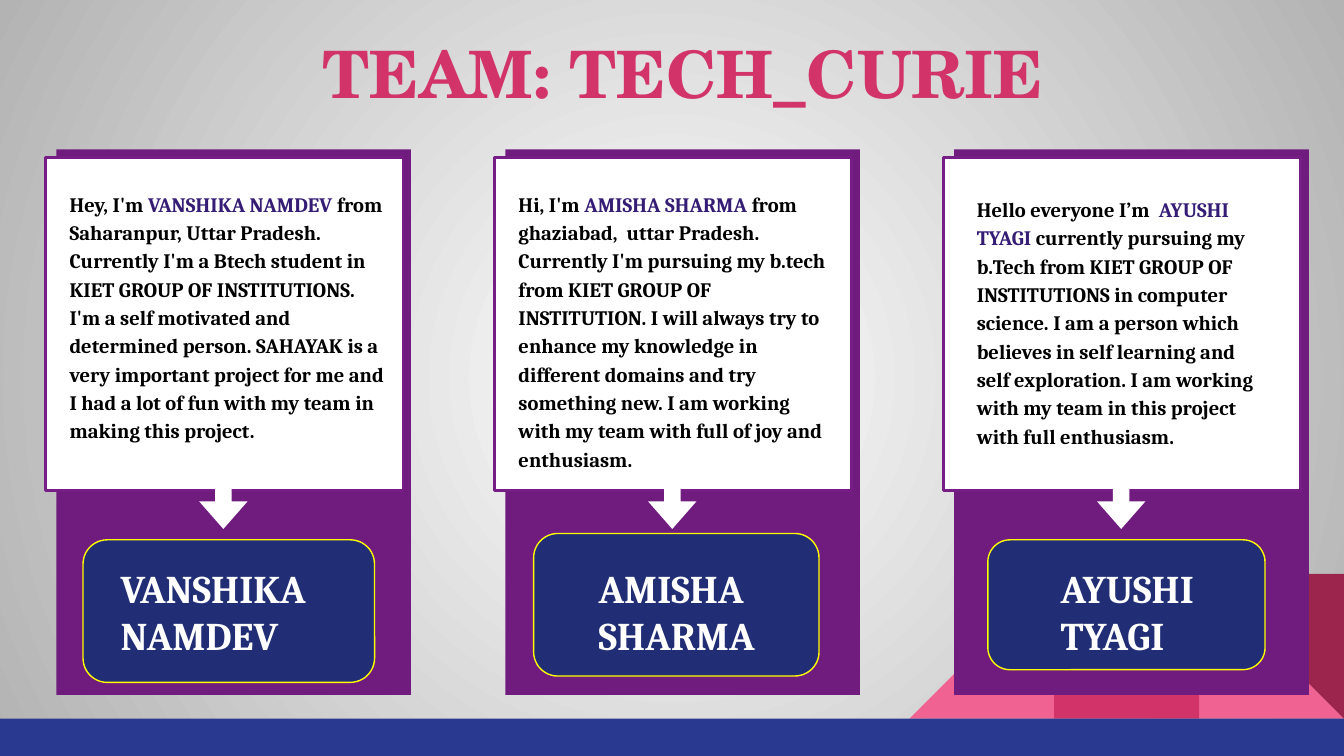
from dataclasses import dataclass

from lxml.etree import SubElement
from pptx import Presentation
from pptx.dml.color import RGBColor
from pptx.enum.shapes import MSO_SHAPE as Preset
from pptx.enum.text import MSO_ANCHOR as Anchor, MSO_AUTO_SIZE as AutoSize, PP_ALIGN as Align
from pptx.oxml.ns import qn
from pptx.util import Pt


@dataclass(frozen=True)
class Theme:
    white: str = "FFFFFF"
    grey: str = "B3B3B3"
    black: str = "000000"
    pink: str = "F06292"
    rose: str = "D23369"
    wine: str = "9C254D"
    blue: str = "2A3990"
    navy: str = "212D74"
    purple: str = "701C7F"
    border: str = "761E86"
    violet: str = "351C75"
    yellow: str = "FFFF00"
    title_font: str = "TeX Gyre Schola"
    body_font: str = "Cambria"
    title_size: float = 35
    name_size: float = 21
    bio_size: float = 11


class Builder:
    def __init__(self, page, theme):
        self.page = page
        self.theme = theme

    def apply(self, target, values):
        for name, value in values.items():
            setattr(target, name, value)

    def background(self, inner, outer):
        fill = self.page.background.fill
        fill.gradient()
        for stop, color in zip(fill.gradient_stops, (inner, outer)):
            stop.color.rgb = RGBColor.from_string(color)
        gradient = self.page.element.find(".//" + qn("a:gradFill"))
        gradient.remove(gradient.find(qn("a:lin")))
        radial = SubElement(gradient, qn("a:path"), {"path": "circle"})
        SubElement(radial, qn("a:fillToRect"), {side: "50000" for side in "ltrb"})

    def shape(self, preset, place, fill, line=None, width=1, rotation=0, adjust=()):
        shape = self.page.shapes.add_shape(preset, *map(Pt, place))
        shape.shadow.inherit = False
        shape.rotation = rotation
        shape.fill.solid()
        shape.fill.fore_color.rgb = RGBColor.from_string(fill)
        if line:
            shape.line.color.rgb = RGBColor.from_string(line)
            shape.line.width = Pt(width)
        else:
            shape.line.fill.background()
        for index, value in enumerate(adjust):
            shape.adjustments[index] = value

    def fill_text(self, box, paragraphs, size, font, spacing=1.0, indent=0):
        frame = box.text_frame
        self.apply(frame, {
            "word_wrap": True, "auto_size": AutoSize.NONE, "vertical_anchor": Anchor.TOP,
            "margin_left": Pt(7.2 + indent), "margin_right": Pt(7.2),
            "margin_top": Pt(7.2), "margin_bottom": Pt(7.2),
        })
        for index, spans in enumerate(paragraphs):
            para = frame.add_paragraph() if index else frame.paragraphs[0]
            self.apply(para, {"alignment": Align.LEFT, "line_spacing": spacing})
            for text, color in spans:
                span = para.add_run()
                span.text = text
                self.apply(span.font, {"size": Pt(size), "name": font, "bold": True})
                span.font.color.rgb = RGBColor.from_string(color)

    def title(self, text, place, indent):
        box = self.page.shapes.title
        self.apply(box, dict(zip(("left", "top", "width", "height"), map(Pt, place))))
        self.fill_text(box, [[(text, self.theme.rose)]], self.theme.title_size,
                       self.theme.title_font, indent=indent)

    def text(self, paragraphs, place, size, spacing=1.0, indent=0):
        box = self.page.shapes.add_textbox(*map(Pt, place))
        self.fill_text(box, paragraphs, size, self.theme.body_font, spacing, indent)

    def footer(self):
        theme, side, top = self.theme, 77.6, 307.4
        left, middle, right = (720 - side * count for count in (3, 2, 1))
        triangle = Preset.RIGHT_TRIANGLE
        for preset, x, color, rotation in (
            (triangle, right, theme.pink, 0),
            (triangle, left, theme.pink, 270),
            (Preset.RECTANGLE, middle, theme.rose, 0),
            (triangle, right, theme.wine, 180),
        ):
            self.shape(preset, (x, top, side, side), color, rotation=rotation)
        self.shape(Preset.RECTANGLE, (0, 385, 720, 20), theme.blue)

    def card(self, x, bio, bio_place):
        theme = self.theme
        self.shape(Preset.RECTANGLE, (x, 80, 190, 292.3), theme.purple)
        self.shape(Preset.RECTANGLE, (x - 5.8, 84.3, 191.5, 178.6), theme.white, theme.border, 1.5)
        greeting, name, story = bio
        spans = [(greeting, theme.black), (name, theme.violet), (story, theme.black)]
        self.text([spans], bio_place, theme.bio_size, spacing=1.15)
        self.shape(Preset.RIGHT_ARROW, (x + 75.4, 256.4, 28.1, 25.9), theme.white,
                   rotation=90, adjust=(0.34, 0.57))

    def badge(self, place, name, name_place, indent):
        theme = self.theme
        self.shape(Preset.ROUNDED_RECTANGLE, place, theme.navy, theme.yellow, 0.75, adjust=(0.17,))
        lines = [[(word, theme.white)] for word in name.split()]
        self.text(lines, name_place, theme.name_size, indent=indent)


MEMBERS = [
    {
        "bio": (
            "Hey, I'm ", "VANSHIKA NAMDEV",
            " from Saharanpur, Uttar Pradesh. Currently I'm a Btech student in KIET GROUP OF "
            "INSTITUTIONS. I'm a self motivated and determined person. SAHAYAK is a very important "
            "project for me and I had a lot of fun with my team in making this project.",
        ),
        "bio_place": (30.2, 93.6, 184.3, 169.2),
        "badge": (44.5, 289.2, 156.2, 76.4),
        "name": "VANSHIKA NAMDEV",
        "name_place": (57.6, 295.2, 128.9, 54.7),
        "indent": 0,
    },
    {
        "bio": (
            "Hi, I'm ", "AMISHA SHARMA",
            " from ghaziabad,  uttar Pradesh. Currently I'm pursuing my b.tech from KIET GROUP OF "
            "INSTITUTION. I will always try to enhance my knowledge in different domains and try "
            "something new. I am working with my team with full of joy and enthusiasm.",
        ),
        "bio_place": (270.7, 93.6, 184.3, 172.1),
        "badge": (285.9, 285.8, 152.9, 76.4),
        "name": "AMISHA SHARMA",
        "name_place": (308.9, 295.2, 108.7, 60.5),
        "indent": 4.6,
    },
    {
        "bio": (
            "Hello everyone I’m ", " AYUSHI TYAGI",
            " currently pursuing my b.Tech from KIET GROUP OF INSTITUTIONS in computer science. I am "
            "a person which believes in self learning and self exploration. I am working with my "
            "team in this project with full enthusiasm.",
        ),
        "bio_place": (516.2, 96.4, 170, 159.1),
        "badge": (529.2, 289.2, 148.5, 69.6),
        "name": "AYUSHI TYAGI",
        "name_place": (542.2, 295.2, 128.9, 54.7),
        "indent": 18.8,
    },
]


def main():
    deck = Presentation()
    deck.slide_width, deck.slide_height = Pt(720), Pt(405)
    theme = Theme()
    builder = Builder(deck.slides.add_slide(deck.slide_layouts[5]), theme)
    builder.background(theme.white, theme.grey)
    builder.footer()
    builder.title("TEAM: TECH_CURIE", (24.5, 10.8, 671, 69.8), 141)
    for index, member in enumerate(MEMBERS):
        builder.card(30.2 + 240.5 * index, member["bio"], member["bio_place"])
        builder.badge(member["badge"], member["name"], member["name_place"], member["indent"])
    deck.save("out.pptx")


if __name__ == "__main__":
    main()
